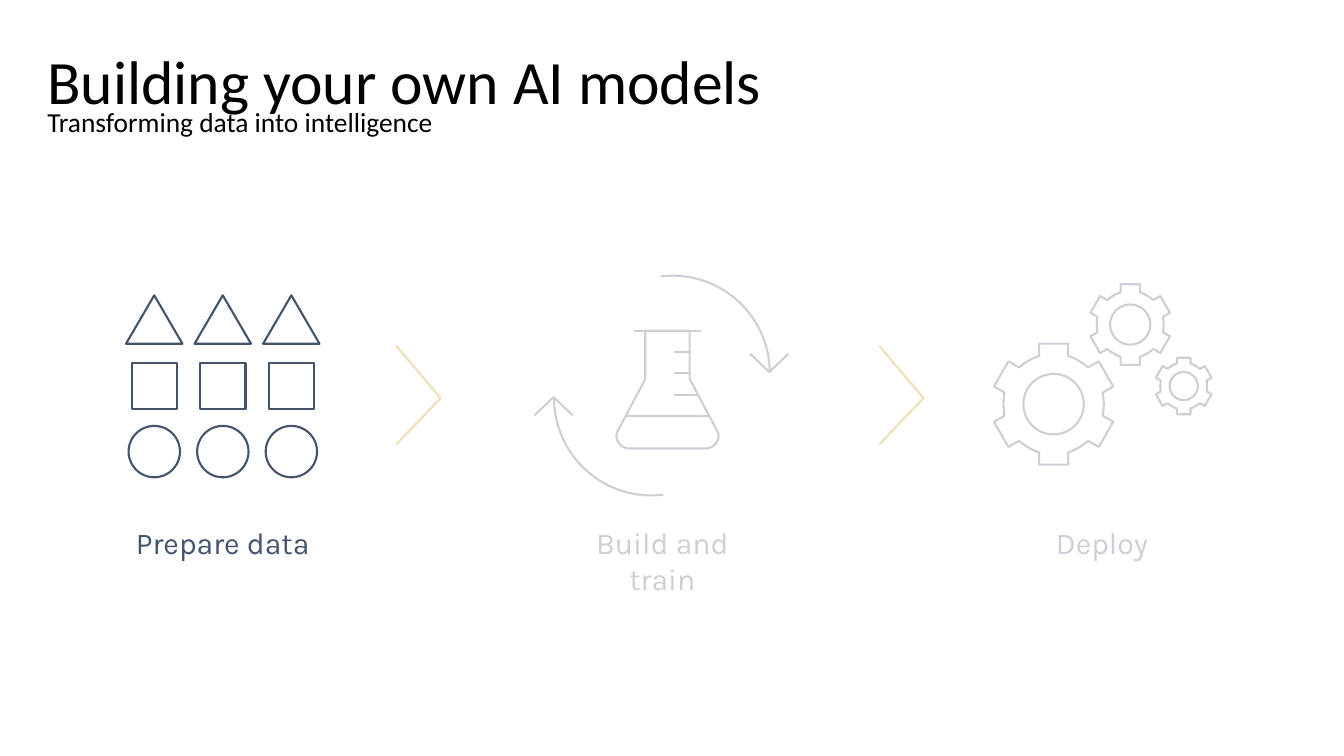
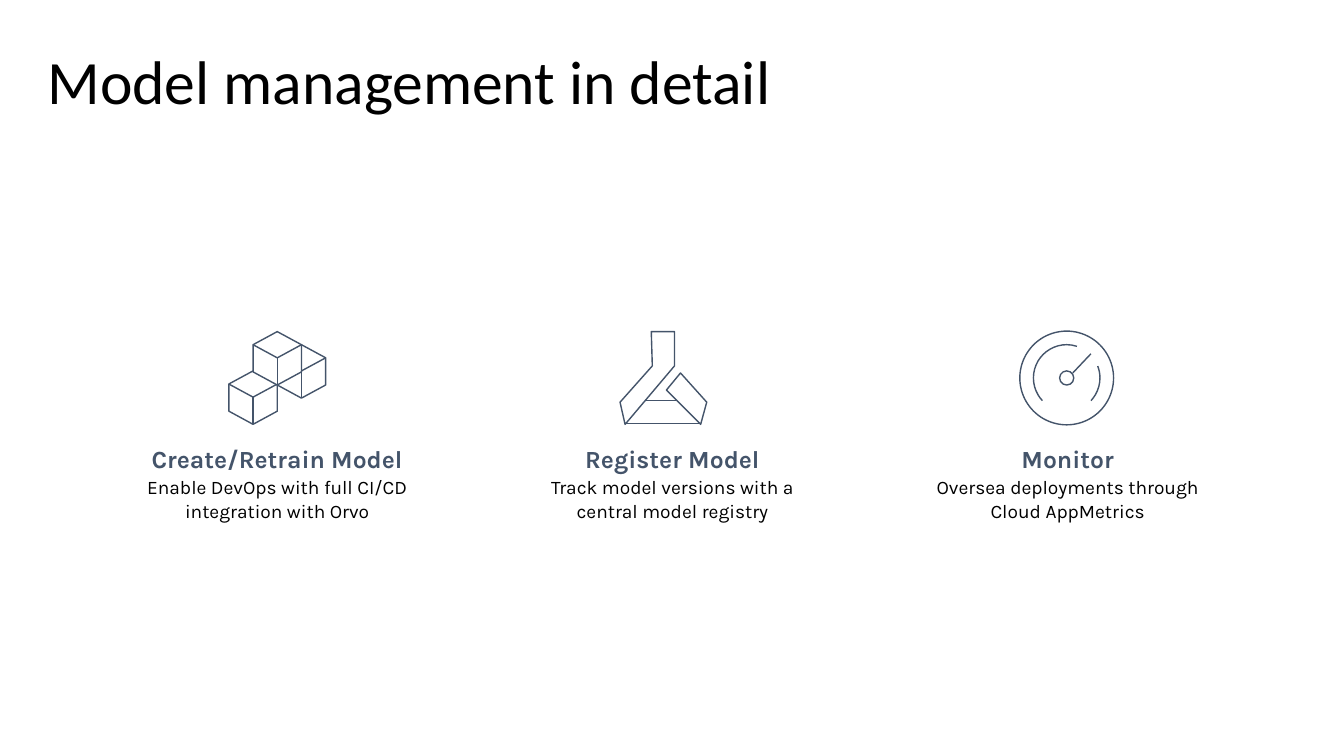
from math import cos, pi, sin

from lxml import etree
from pptx import Presentation
from pptx.dml.color import RGBColor
from pptx.enum.shapes import MSO_CONNECTOR, MSO_SHAPE
from pptx.enum.text import MSO_ANCHOR, MSO_AUTO_SIZE, PP_ALIGN
from pptx.oxml.ns import qn
from pptx.util import Inches, Pt

TRIANGLE = MSO_SHAPE.ISOSCELES_TRIANGLE
SQUARE = MSO_SHAPE.RECTANGLE
CIRCLE = MSO_SHAPE.OVAL
ARC = MSO_SHAPE.ARC
STRAIGHT = MSO_CONNECTOR.STRAIGHT
LEFT, CENTER = PP_ALIGN.LEFT, PP_ALIGN.CENTER
TOP = MSO_ANCHOR.TOP
NO_AUTOFIT = MSO_AUTO_SIZE.NONE

SLIDE_W, SLIDE_H = 13.33, 7.5
MARGIN, CONTENT_W = 0.47, 12.4
SLATE, GOLD, WHITE, BLACK = "44546A", "BF9000", "FFFFFF", "000000"
TITLE_FONT, LABEL_FONT = "Calibri", "Karla"
BOLD_LINE, THIN_LINE = 1.5, 1

# Three columns per slide: first left edge, step and width
STAGE_LEFT, STAGE_STEP, STAGE_W = 1.21, 4.36, 2.0
CARD_LEFT, CARD_STEP, CARD_W = 1.3, 3.92, 2.9

STAGES = ["Prepare data", "Build and train", "Deploy"]
CARDS = [
    ("Create/Retrain Model", "Enable DevOps with full CI/CD integration with Orvo"),
    ("Register Model", "Track model versions with a central model registry"),
    ("Monitor", "Oversea deployments through Cloud AppMetrics"),
]


def rgb(value):
    return RGBColor.from_string(value)


def inches(*lengths):
    return [Inches(length) for length in lengths]


# Text
def write(paragraph, text, size, font=LABEL_FONT, color=BLACK, bold=False,
          align=CENTER, spacing=None, after=None):
    paragraph.text = text
    paragraph.alignment = align
    if spacing is not None:
        paragraph.line_spacing = spacing
    if after is not None:
        paragraph.space_after = Pt(after)
    style = paragraph.font
    style.name, style.size, style.bold = font, Pt(size), bold
    style.color.rgb = rgb(color)


def set_frame(frame, margins):
    frame.word_wrap = True
    frame.auto_size = NO_AUTOFIT
    frame.vertical_anchor = TOP
    (frame.margin_left, frame.margin_top,
     frame.margin_right, frame.margin_bottom) = inches(*margins)


def add_text_box(slide, box, margins=(0.1, 0.05, 0.1, 0.05)):
    frame = slide.shapes.add_textbox(*inches(*box)).text_frame
    set_frame(frame, margins)
    return frame


def add_titled_slide(prs, text):
    slide = prs.slides.add_slide(prs.slide_layouts[5])
    title = slide.shapes.title
    (title.left, title.top,
     title.width, title.height) = inches(MARGIN, 0.33, CONTENT_W, 0.83)
    set_frame(title.text_frame, (0, 0.18, 0, 0))
    write(title.text_frame.paragraphs[0], text, 44, font=TITLE_FONT,
          align=LEFT, spacing=0.9)
    return slide


# Outlined parts
def outline(shape, weight, color=SLATE, fill=None):
    shape.shadow.inherit = False
    if fill:
        shape.fill.solid()
        shape.fill.fore_color.rgb = rgb(fill)
    else:
        shape.fill.background()
    shape.line.color.rgb = rgb(color)
    shape.line.width = Pt(weight)


def add_preset(slide, kind, center, width, height, weight, fill=None):
    x, y = center
    box = inches(x - width / 2, y - height / 2, width, height)
    shape = slide.shapes.add_shape(kind, *box)
    outline(shape, weight, fill=fill)
    return shape


def add_arc(slide, center, radius, start, end, weight):
    """Clockwise arc; degrees are counted from the right-hand side."""
    arc = add_preset(slide, ARC, center, 2 * radius, 2 * radius, weight)
    for index, degrees in enumerate((start, end)):
        arc.adjustments[index] = degrees * 60000 / 100000
    return arc


def add_outline(slide, points, weight, color=SLATE, fill=None, close=True):
    corners = [tuple(inches(*point)) for point in points]
    builder = slide.shapes.build_freeform(*corners[0])
    builder.add_line_segments(corners[1:], close=close)
    outline(builder.convert_to_shape(), weight, color, fill)


def add_line(slide, start, end, weight):
    line = slide.shapes.add_connector(STRAIGHT, *inches(*start, *end))
    line.line.color.rgb = rgb(SLATE)
    line.line.width = Pt(weight)
    etree.SubElement(line.element.spPr, qn("a:effectLst"))


def curve(a, b, c, d, steps=10):
    """Points along a cubic curve."""
    points = []
    for step in range(steps + 1):
        t = step / steps
        shares = ((1 - t) ** 3, 3 * t * (1 - t) ** 2, 3 * t * t * (1 - t), t ** 3)
        points.append(tuple(sum(share * point[axis] for share, point
                                in zip(shares, (a, b, c, d))) for axis in (0, 1)))
    return points


# Icons of the first slide
def add_data_grid(slide):
    rows = [(TRIANGLE, 3.17, 0.56, 0.48), (SQUARE, 3.83, 0.45, 0.45),
            (CIRCLE, 4.48, 0.51, 0.51)]
    for column in range(3):
        for kind, y, width, height in rows:
            add_preset(slide, kind, (1.53 + 0.68 * column, y), width, height,
                       BOLD_LINE, fill=WHITE)


def add_flask(slide):
    right_corner = curve((7, 4.45), (7.09, 4.45), (7.16, 4.35), (7.11, 4.27))
    left_corner = curve((6.13, 4.27), (6.08, 4.35), (6.15, 4.45), (6.24, 4.45))
    neck = [(6.84, 3.76), (6.84, 3.28), (6.4, 3.28), (6.4, 3.76)]
    add_outline(slide, left_corner + right_corner + neck, BOLD_LINE)
    # Liquid level, three marks and rim
    for x1, x2, y in [(6.21, 7.04, 4.13), (6.68, 6.83, 3.49), (6.68, 6.83, 3.7),
                      (6.68, 6.92, 3.92), (6.29, 6.95, 3.28)]:
        add_line(slide, (x1, y), (x2, y), BOLD_LINE)


def add_cycle_arrows(slide):
    for center, turn, tip, depth in [((6.67, 3.7), 0, (7.63, 3.69), -0.18),
                                     ((6.46, 3.95), 180, (5.49, 3.94), 0.18)]:
        add_arc(slide, center, 0.965, 263, 0, BOLD_LINE).rotation = turn
        x, y = tip
        add_outline(slide, [(x - 0.19, y + depth), tip, (x + 0.19, y + depth)],
                    BOLD_LINE, close=False)


def add_gear(slide, center, radius):
    x, y = center
    add_preset(slide, CIRCLE, center, radius, radius, BOLD_LINE)
    # One tooth, then the rim up to the next tooth: (outward, sideways)
    rim = [(0.83 * cos(a * pi / 180), 0.83 * sin(a * pi / 180)) for a in (25, 30, 35)]
    tooth = [(0.8, -0.24), (1, -0.24), (1, 0.24), (0.8, 0.24)]
    points = []
    for index in range(6):
        angle = pi / 6 + index * pi / 3
        points += [(x + radius * (out * cos(angle) - side * sin(angle)),
                    y + radius * (out * sin(angle) + side * cos(angle)))
                   for out, side in tooth + rim]
    add_outline(slide, points, BOLD_LINE)


def add_chevron(slide, left):
    add_outline(slide, [(left, 3.43), (left + 0.44, 3.95), (left, 4.41)],
                BOLD_LINE, color=GOLD, close=False)


def add_veil(slide):
    veil = slide.shapes.add_shape(SQUARE, *inches(3.74, 2.49, 8.82, 3.63))
    outline(veil, THIN_LINE, fill=WHITE)
    veil.line.fill.background()
    tint = veil.element.spPr.find(qn("a:solidFill")).find(qn("a:srgbClr"))
    etree.SubElement(tint, qn("a:alpha"), val="73000")


# Icons of the second slide
def add_cube(slide, top, fill=None):
    x, y = top
    left, right = x - 0.24, x + 0.24
    shoulder, waist, foot = y + 0.13, y + 0.4, y + 0.53
    add_outline(slide, [top, (right, shoulder), (right, waist), (x, foot),
                        (left, waist), (left, shoulder)], THIN_LINE, fill=fill)
    for end in [(left, shoulder), (right, shoulder), (x, foot)]:
        add_line(slide, (x, y + 0.26), end, THIN_LINE)


def add_cubes(slide):
    add_cube(slide, (2.99, 3.42))
    add_cube(slide, (2.51, 3.68))
    add_cube(slide, (2.75, 3.29), fill=WHITE)


def add_folded_flask(slide):
    add_preset(slide, SQUARE, (6.58, 4.09), 0.74, 0.23, THIN_LINE, fill=WHITE)
    neck = [(6.46, 3.29), (6.69, 3.29), (6.69, 3.63), (6.2, 4.21),
            (6.15, 3.99), (6.47, 3.63)]
    fold = [(6.61, 3.87), (6.75, 3.7), (7.01, 3.99), (6.95, 4.21)]
    for points in (neck, fold):
        add_outline(slide, points, THIN_LINE, fill=WHITE)


def add_gauge(slide):
    center = (10.58, 3.75)
    for diameter in (0.93, 0.14):
        add_preset(slide, CIRCLE, center, diameter, diameter, THIN_LINE)
    for start, end in [(339, 43), (137, 288)]:
        add_arc(slide, center, 0.33, start, end, THIN_LINE)
    add_line(slide, (10.64, 3.7), (10.82, 3.51), THIN_LINE)


# Slides
def build_stages(prs):
    slide = add_titled_slide(prs, "Building your own AI models")
    subtitle = add_text_box(slide, (MARGIN, 1.08, CONTENT_W, 0.3), (0, 0, 0, 0))
    write(subtitle.paragraphs[0], "Transforming data into intelligence", 19.6,
          font=TITLE_FONT, align=LEFT, spacing=0.9)
    for index, stage in enumerate(STAGES):
        left = STAGE_LEFT + index * STAGE_STEP
        label = add_text_box(slide, (left, 5.15, STAGE_W, 0.46))
        write(label.paragraphs[0], stage, 21.6, color=SLATE)
    for center, radius in [((10.45, 4.01), 0.6), ((11.21, 3.22), 0.4),
                           ((11.74, 3.83), 0.28)]:
        add_gear(slide, center, radius)
    add_data_grid(slide)
    add_flask(slide)
    add_cycle_arrows(slide)
    for left in (8.72, 3.93):
        add_chevron(slide, left)
    add_veil(slide)


def build_details(prs):
    slide = add_titled_slide(prs, "Model management in detail")
    for index, (heading, detail) in enumerate(CARDS):
        card = add_text_box(slide, (CARD_LEFT + index * CARD_STEP, 4.35, CARD_W, 0.89))
        write(card.paragraphs[0], heading, 17.6, color=SLATE, bold=True, after=2)
        write(card.add_paragraph(), detail, 13.7)
    add_cubes(slide)
    add_folded_flask(slide)
    add_gauge(slide)


def main():
    prs = Presentation()
    prs.slide_width, prs.slide_height = inches(SLIDE_W, SLIDE_H)
    build_stages(prs)
    build_details(prs)
    prs.save("out.pptx")


if __name__ == "__main__":
    main()
